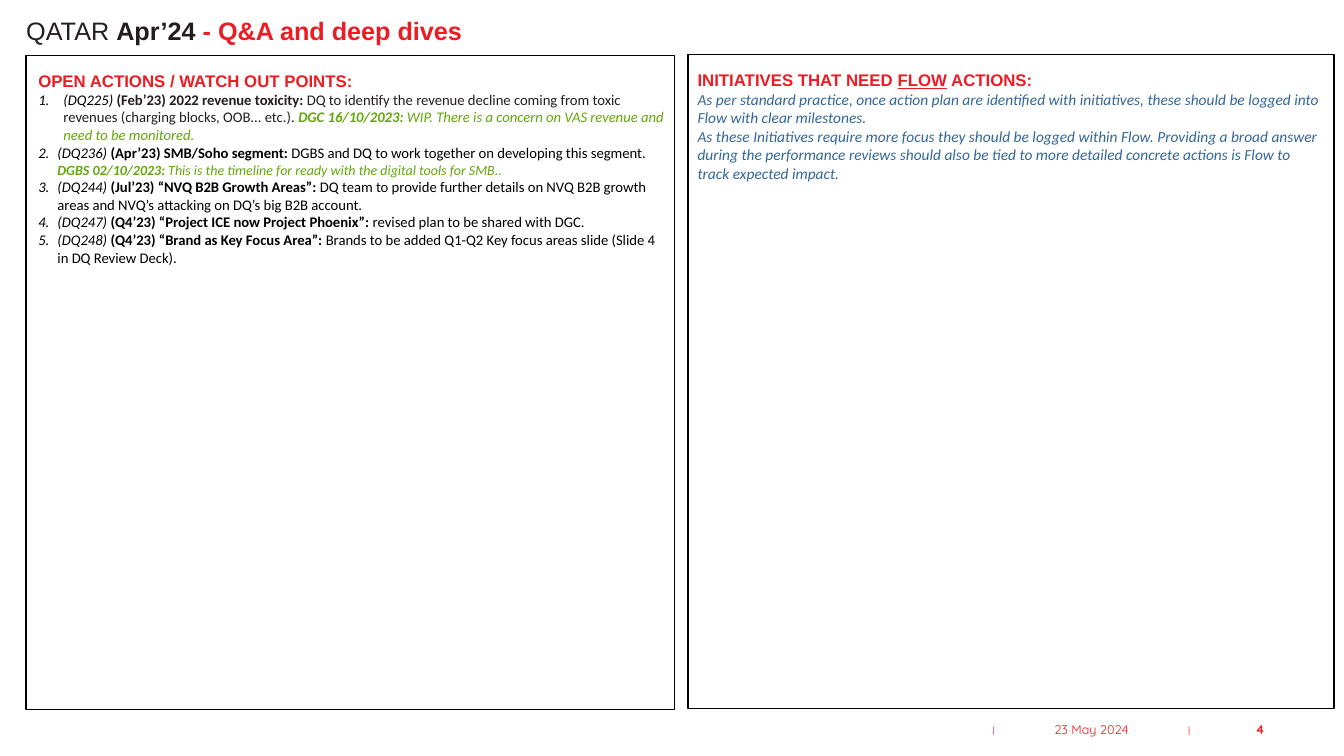
from dataclasses import dataclass

from lxml.etree import SubElement
from pptx import Presentation
from pptx.dml.color import RGBColor
from pptx.enum.shapes import MSO_SHAPE
from pptx.enum.text import MSO_ANCHOR, MSO_AUTO_SIZE, PP_ALIGN
from pptx.oxml.ns import qn
from pptx.util import Inches, Pt


@dataclass(frozen=True)
class Theme:
    red: str = "ED1C24"
    green: str = "64A70B"
    blue: str = "336699"
    dark: str = "221E20"
    black: str = "000000"
    white: str = "FFFFFF"
    heading_font: str = "Arial"
    body_font: str = "Calibri"
    footer_font: str = "Quicksand"
    separator_font: str = "Noto Sans"
    title_size: float = 18
    heading_size: float = 12
    note_size: float = 11
    action_size: float = 10.5
    small_action_size: float = 10
    footer_size: float = 9
    separator_size: float = 6


THEME = Theme()

# Reference, subject, request, text colour, hanging indent
ACTIONS = [
    ("(DQ225) ", "(Feb’23) 2022 revenue toxicity: ",
     "DQ to identify the revenue decline coming from toxic revenues "
     "(charging blocks, OOB... etc.). ", THEME.dark, 0.25),
    ("(DQ236) ", "(Apr’23) SMB/Soho segment: ",
     "DGBS and DQ to work together on developing this segment. ", THEME.black, 0.19),
    ("(DQ244) ", "(Jul’23) “NVQ B2B Growth Areas”: ",
     "DQ team to provide further details on NVQ B2B growth areas and NVQ’s "
     "attacking on DQ’s big B2B account.", THEME.black, 0.19),
    ("(DQ247) ", "(Q4’23) “Project ICE now Project Phoenix”: ",
     "revised plan to be shared with DGC.", THEME.black, 0.19),
    ("(DQ248) ", "(Q4’23) “Brand as Key Focus Area”: ",
     "Brands to be added Q1-Q2 Key focus areas slide (Slide 4 in DQ Review Deck).",
     THEME.black, 0.19),
]

# Progress update by action reference: source, text, size
UPDATES = {
    "(DQ225) ": ("DGC 16/10/2023: ",
                 "WIP. There is a concern on VAS revenue and need to be monitored.",
                 THEME.action_size),
    "(DQ236) ": ("DGBS 02/10/2023: ",
                 "This is the timeline for ready with the digital tools for SMB..",
                 THEME.small_action_size),
}

INITIATIVE_NOTES = [
    "As per standard practice, once action plan are identified with initiatives, "
    "these should be logged into Flow with clear milestones.",
    "As these Initiatives require more focus they should be logged within Flow. "
    "Providing a broad answer during the performance reviews should also be tied to "
    "more detailed concrete actions is Flow to track expected impact.",
]


def add_run(paragraph, text, font_name, size, color, bold=False, italic=False,
            underline=False):
    run = paragraph.add_run()
    run.text = text
    font = run.font
    font.name, font.size = font_name, Pt(size)
    font.color.rgb = RGBColor.from_string(color)
    font.bold, font.italic, font.underline = bold, italic, underline


def add_title(slide, left, top, width, height):
    title = slide.shapes.title
    title.left, title.top = Inches(left), Inches(top)
    title.width, title.height = Inches(width), Inches(height)
    text_frame = title.text_frame
    text_frame.word_wrap = True
    text_frame.auto_size = MSO_AUTO_SIZE.NONE
    text_frame.vertical_anchor = MSO_ANCHOR.TOP
    paragraph = text_frame.paragraphs[0]
    paragraph.alignment = PP_ALIGN.LEFT
    for text, color, bold in (("QATAR ", THEME.dark, False),
                              ("Apr’24 ", THEME.dark, True),
                              ("- Q&A and deep dives", THEME.red, True)):
        add_run(paragraph, text, THEME.heading_font, THEME.title_size, color, bold)


def add_panel(slide, left, top, width, height, heading, left_margin=0.1):
    """Draw a framed panel with its heading, given as (text, underline) pairs."""
    panel = slide.shapes.add_shape(MSO_SHAPE.RECTANGLE, Inches(left), Inches(top),
                                   Inches(width), Inches(height))
    panel.shadow.inherit = False
    panel.fill.solid()
    panel.fill.fore_color.rgb = RGBColor.from_string(THEME.white)
    panel.line.color.rgb = RGBColor.from_string(THEME.black)
    panel.line.width = Pt(1.25)
    text_frame = panel.text_frame
    text_frame.word_wrap = True
    text_frame.vertical_anchor = MSO_ANCHOR.TOP
    text_frame.margin_left = Inches(left_margin)
    paragraph = text_frame.paragraphs[0]
    paragraph.alignment = PP_ALIGN.LEFT
    paragraph.line_spacing = 1.5
    for text, underline in heading:
        add_run(paragraph, text, THEME.heading_font, THEME.heading_size, THEME.red,
                bold=True, underline=underline)
    return text_frame


def number_paragraph(paragraph, indent):
    properties = paragraph._p.get_or_add_pPr()
    properties.set("marL", str(Inches(indent)))
    properties.set("indent", str(-Inches(indent)))
    SubElement(properties, qn("a:buFont"), typeface="+mj-lt")
    SubElement(properties, qn("a:buAutoNum"), type="arabicPeriod")


def add_actions_panel(slide, left, top, width, height):
    text_frame = add_panel(slide, left, top, width, height,
                           [("OPEN ACTIONS / WATCH OUT POINTS:", False)],
                           left_margin=0.12)
    font, size = THEME.body_font, THEME.action_size
    for reference, subject, request, color, indent in ACTIONS:
        paragraph = text_frame.add_paragraph()
        paragraph.alignment = PP_ALIGN.LEFT
        number_paragraph(paragraph, indent)
        add_run(paragraph, reference, font, size, THEME.black, italic=True)
        add_run(paragraph, subject, font, size, color, bold=True)
        add_run(paragraph, request, font, size, color)
        if reference in UPDATES:
            source, update, update_size = UPDATES[reference]
            add_run(paragraph, source, font, update_size, THEME.green, True, True)
            add_run(paragraph, update, font, update_size, THEME.green, italic=True)


def add_initiatives_panel(slide, left, top, width, height):
    text_frame = add_panel(slide, left, top, width, height,
                           [("INITIATIVES THAT NEED ", False), ("FLOW", True),
                            (" ACTIONS:", False)])
    for note in INITIATIVE_NOTES:
        paragraph = text_frame.add_paragraph()
        paragraph.alignment = PP_ALIGN.LEFT
        add_run(paragraph, note, THEME.body_font, THEME.note_size, THEME.blue,
                italic=True)


def add_footer(slide, left, top, height):
    """Place separators, date and page number by their offsets from the left."""
    date_style = (THEME.footer_font, THEME.footer_size, THEME.red)
    separator_style = (THEME.separator_font, THEME.separator_size, THEME.red)
    parts = [("|", 0, 0.35, 0.1, 0.2, PP_ALIGN.CENTER, separator_style, False),
             ("|", 1.96, 0.31, 0.1, 0.2, PP_ALIGN.CENTER, separator_style, False),
             ("23 May 2024", 0.19, 1.91, 0, height, PP_ALIGN.CENTER, date_style, False),
             ("4", 2.1, 0.86, 0, height, PP_ALIGN.RIGHT, date_style, True)]
    for text, across, width, down, part_height, alignment, style, bold in parts:
        box = slide.shapes.add_textbox(Inches(left + across), Inches(top + down),
                                       Inches(width), Inches(part_height))
        box.text_frame.word_wrap = True
        box.text_frame.vertical_anchor = MSO_ANCHOR.MIDDLE
        paragraph = box.text_frame.paragraphs[0]
        paragraph.alignment = alignment
        add_run(paragraph, text, *style, bold=bold)


def main():
    presentation = Presentation()
    presentation.slide_width = Inches(13.33)
    presentation.slide_height = Inches(7.5)
    slide = presentation.slides.add_slide(presentation.slide_layouts[5])
    add_title(slide, 0.16, 0.1, 6.67, 0.4)
    add_actions_panel(slide, 0.26, 0.55, 6.43, 6.49)
    add_initiatives_panel(slide, 6.82, 0.54, 6.41, 6.49)
    add_footer(slide, 9.68, 7.04, 0.4)
    presentation.save("out.pptx")


if __name__ == "__main__":
    main()
